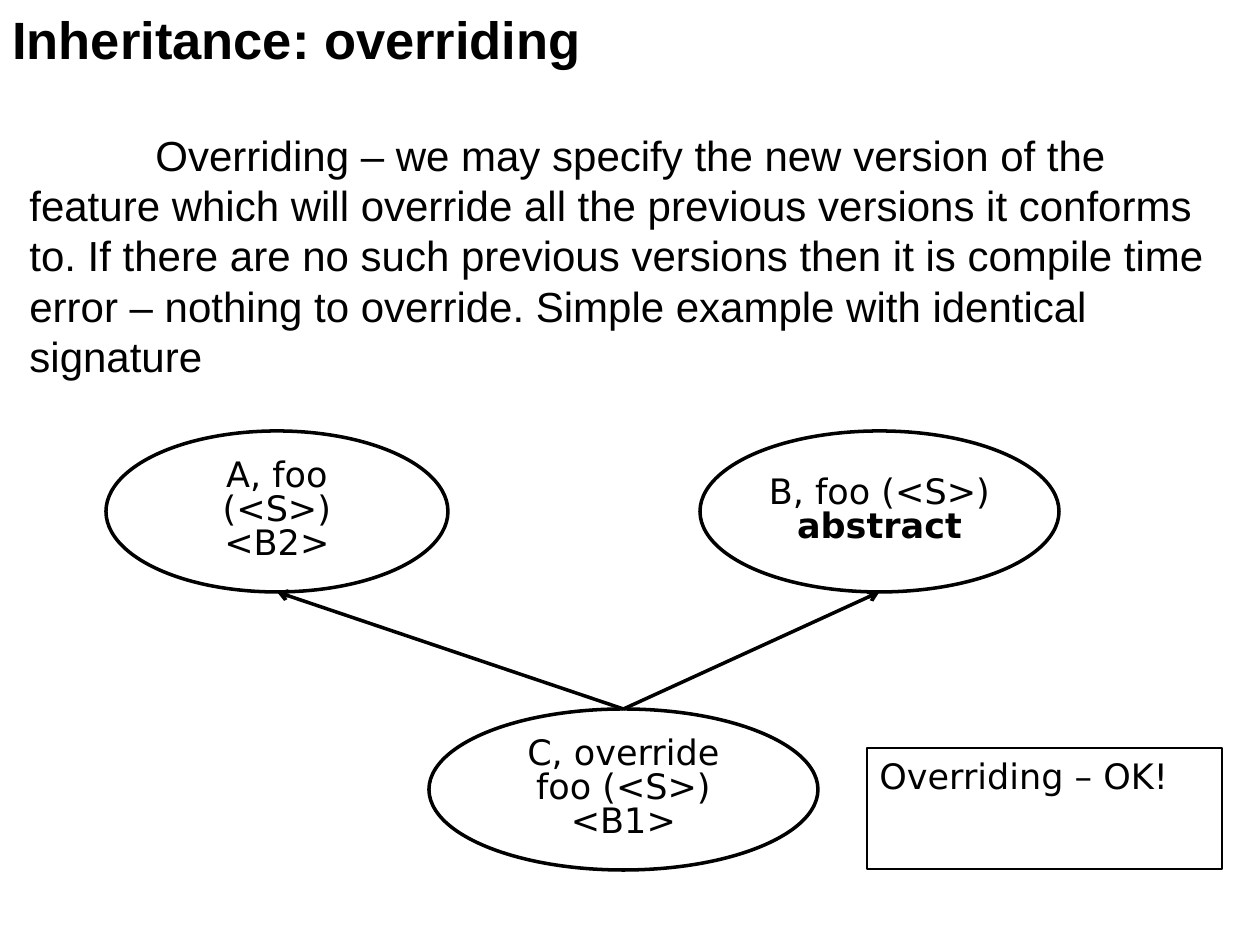
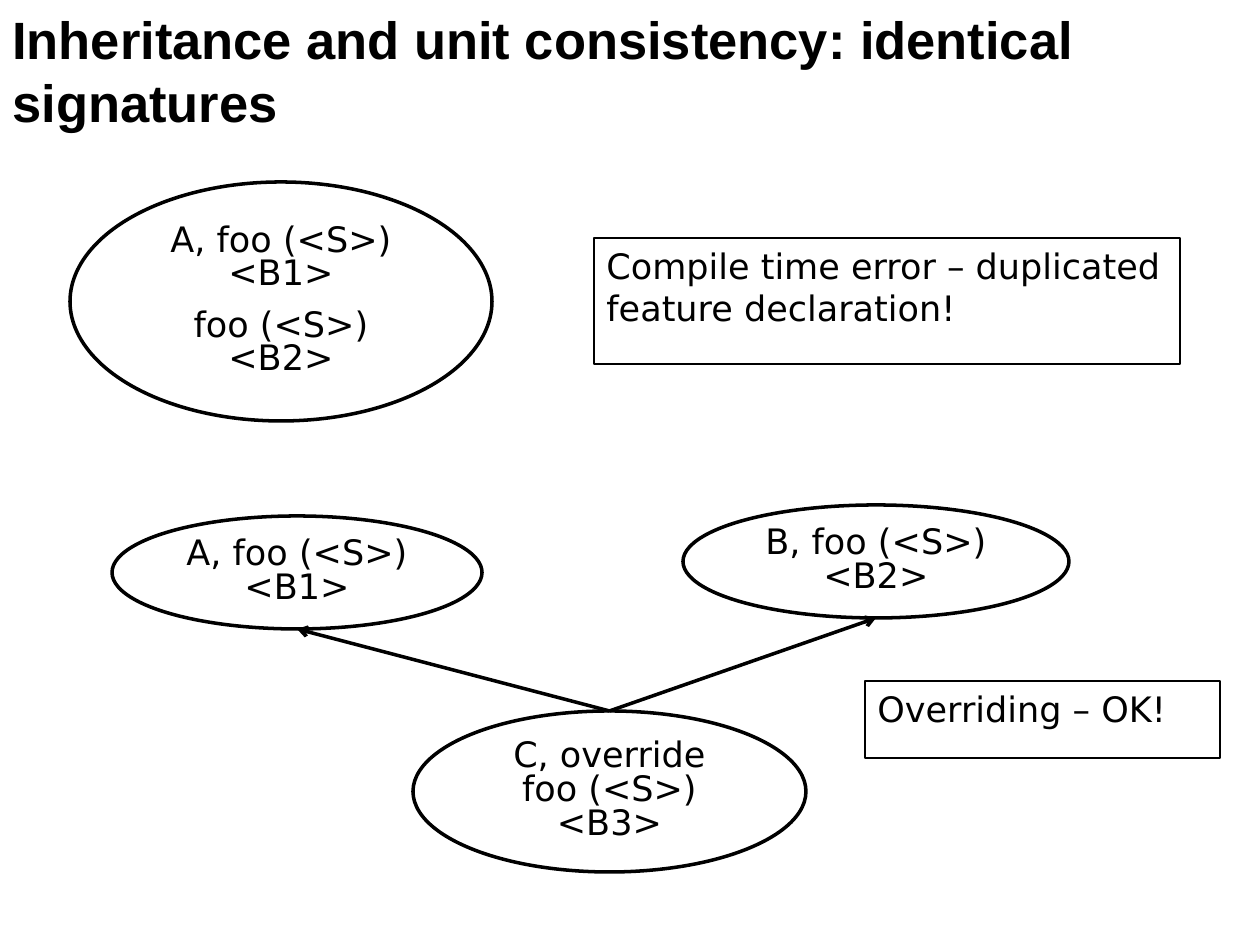
import pptx
import pptx.util
import pptx.dml.color
import pptx.enum.shapes
import pptx.enum.text
import pptx.oxml
import pptx.oxml.ns

BLACK = pptx.dml.color.RGBColor(0, 0, 0)
WHITE = pptx.dml.color.RGBColor(255, 255, 255)
TITLE_FONT, LABEL_FONT = "Arial", "DejaVu Sans"
TITLE_SIZE, BODY_SIZE, LABEL_SIZE = 30, 24, 20
PX_PER_INCH = 126
SLIDE_SIZE = (1260, 945)
TAB_STOP = 126
NAMESPACE = pptx.oxml.ns.nsdecls("a")

# Boxes are (left, top, width, height). A text is a list of paragraphs,
# a paragraph a list of (words, bold) runs.
SLIDES = [
    {
        "title": ("Inheritance: overriding", 77),
        "body": (
            "\tOverriding – we may specify the new version of the feature which will "
            "override all the previous versions it conforms to. If there are no such "
            "previous versions then it is compile time error – nothing to override. "
            "Simple example with identical signature",
            (17, 123, 1226, 290),
        ),
        "units": {
            "A": ((106, 431, 342, 161), [[("A, foo (<S>) <B2>", False)]]),
            "B": ((700, 431, 359, 161), [[("B, foo (<S>) ", False), ("abstract", True)]]),
            "C": ((429, 709, 389, 161), [[("C, override foo (<S>) <B1>", False)]]),
        },
        "inherits": [("C", "A"), ("C", "B")],
        "verdicts": [("Overriding – OK!", (867, 748, 355, 121))],
    },
    {
        "title": ("Inheritance and unit consistency: identical signatures", 130),
        "units": {
            "duplicated": (
                (70, 182, 422, 239),
                [[("A, foo (<S>) <B1>", False)], [("foo (<S>) <B2>", False)]],
            ),
            "A": ((112, 516, 370, 113), [[("A, foo (<S>) <B1>", False)]]),
            "B": ((683, 505, 386, 113), [[("B, foo (<S>) <B2>", False)]]),
            "C": ((413, 711, 393, 161), [[("C, override foo (<S>) <B3>", False)]]),
        },
        "inherits": [("C", "A"), ("C", "B")],
        "verdicts": [
            ("Compile time error – duplicated feature declaration!", (594, 238, 586, 126)),
            ("Overriding – OK!", (865, 681, 355, 77)),
        ],
    },
]


def px(length):
    return pptx.util.Emu(round(length * 914400 / PX_PER_INCH))


def add_run(paragraph, words, font_name, size, bold=False):
    run = paragraph.add_run()
    run.text = words
    run.font.name = font_name
    run.font.size = pptx.util.Pt(size)
    run.font.bold = bold
    run.font.color.rgb = BLACK


def add_tab_stop(paragraph, position):
    paragraph._p.get_or_add_pPr().append(pptx.oxml.parse_xml(
        f'<a:tabLst {NAMESPACE}><a:tab pos="{px(position)}" algn="l"/></a:tabLst>'))


def add_text(slide, words, box, size, bold=False):
    frame = slide.shapes.add_textbox(*map(px, box)).text_frame
    frame.word_wrap = True
    paragraph = frame.paragraphs[0]
    if words.startswith("\t"):
        add_tab_stop(paragraph, TAB_STOP)
    add_run(paragraph, words, TITLE_FONT, size, bold)


def add_outlined(slide, kind, box, line_width, anchor):
    shape = slide.shapes.add_shape(kind, *map(px, box))
    shape.shadow.inherit = False
    shape.fill.background()
    shape.line.color.rgb = BLACK
    shape.line.width = pptx.util.Pt(line_width)
    shape.text_frame.word_wrap = True
    shape.text_frame.vertical_anchor = anchor
    return shape


def add_unit(slide, box, paragraphs):
    shape = add_outlined(slide, pptx.enum.shapes.MSO_SHAPE.OVAL, box, 2,
                         pptx.enum.text.MSO_ANCHOR.MIDDLE)
    frame = shape.text_frame
    for index, runs in enumerate(paragraphs):
        paragraph = frame.add_paragraph() if index else frame.paragraphs[0]
        paragraph.alignment = pptx.enum.text.PP_ALIGN.CENTER
        paragraph.line_spacing = 0.8
        if index:
            paragraph.space_before = pptx.util.Pt(LABEL_SIZE / 2)
        for words, bold in runs:
            add_run(paragraph, words, LABEL_FONT, LABEL_SIZE, bold)
    return shape


def add_verdict(slide, words, box):
    shape = add_outlined(slide, pptx.enum.shapes.MSO_SHAPE.RECTANGLE, box, 1,
                         pptx.enum.text.MSO_ANCHOR.TOP)
    paragraph = shape.text_frame.paragraphs[0]
    paragraph.alignment = pptx.enum.text.PP_ALIGN.LEFT
    add_run(paragraph, words, LABEL_FONT, LABEL_SIZE)


def add_inheritance(slide, child, parent):
    """Arrow from the top of the child to the bottom of the parent."""
    arrow = slide.shapes.add_connector(
        pptx.enum.shapes.MSO_CONNECTOR.STRAIGHT,
        child.left + child.width // 2, child.top,
        parent.left + parent.width // 2, parent.top + parent.height)
    arrow.begin_connect(child, 0)
    arrow.line.color.rgb = BLACK
    arrow.line.width = pptx.util.Pt(2)
    arrow.line._get_or_add_ln().append(
        pptx.oxml.parse_xml(f'<a:tailEnd {NAMESPACE} type="arrow"/>'))
    arrow._element.spPr.append(pptx.oxml.parse_xml(f"<a:effectLst {NAMESPACE}/>"))


def add_slide(presentation, content):
    slide = presentation.slides.add_slide(presentation.slide_layouts[6])
    slide.background.fill.solid()
    slide.background.fill.fore_color.rgb = WHITE
    title, title_height = content["title"]
    add_text(slide, title, (0, 1, SLIDE_SIZE[0], title_height), TITLE_SIZE, bold=True)
    if "body" in content:
        words, box = content["body"]
        add_text(slide, words, box, BODY_SIZE)
    units = {name: add_unit(slide, *unit) for name, unit in content["units"].items()}
    for child, parent in content["inherits"]:
        add_inheritance(slide, units[child], units[parent])
    for words, box in content["verdicts"]:
        add_verdict(slide, words, box)


def main():
    presentation = pptx.Presentation()
    presentation.slide_width, presentation.slide_height = map(px, SLIDE_SIZE)
    for content in SLIDES:
        add_slide(presentation, content)
    presentation.save("out.pptx")


if __name__ == "__main__":
    main()
